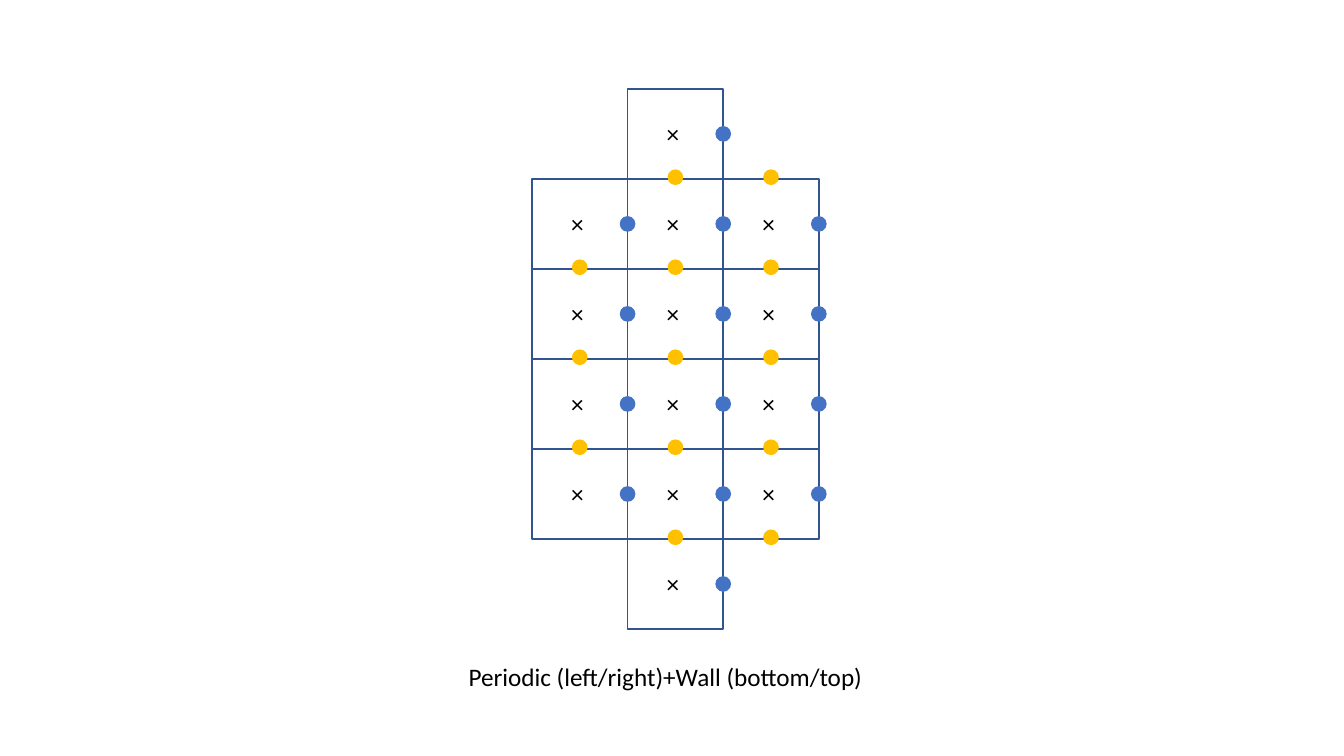
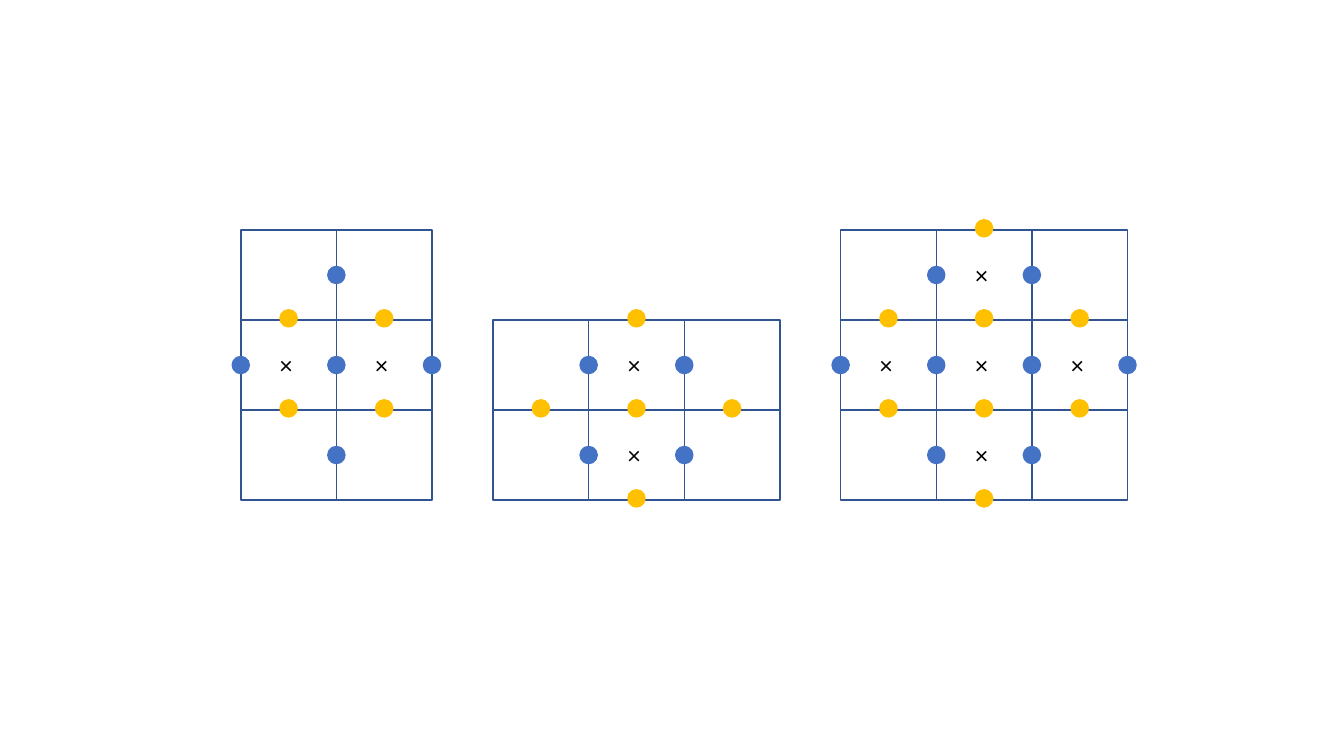
from dataclasses import dataclass
from itertools import product

from pptx import Presentation
from pptx.dml.color import RGBColor
from pptx.enum.shapes import MSO_SHAPE
from pptx.enum.text import MSO_AUTO_SIZE
from pptx.util import Pt

RECTANGLE = MSO_SHAPE.RECTANGLE
OVAL = MSO_SHAPE.OVAL
FIT_SHAPE = MSO_AUTO_SIZE.SHAPE_TO_FIT_TEXT
BLANK_LAYOUT = 6


@dataclass(frozen=True)
class Theme:
    font: str = "Calibri"
    text_size: float = 18
    text: RGBColor = RGBColor(0x00, 0x00, 0x00)
    cell_line: RGBColor = RGBColor(0x32, 0x54, 0x91)
    side_face: RGBColor = RGBColor(0x44, 0x72, 0xC4)
    level_face: RGBColor = RGBColor(0xFF, 0xC0, 0x00)
    cell_width: float = 68.3
    cell_height: float = 64.3
    cell_line_width: float = 1
    dot_size: float = 10.2
    level_face_lift: float = 1.2
    label_width: float = 26.6
    label_height: float = 29


THEME = Theme()


@dataclass(frozen=True)
class Stencil:
    """Cells and centres are (column, row).

    Side faces are (vertical edge, row); level faces are (column, horizontal edge).
    """
    cells: tuple
    centres: tuple
    side_faces: tuple
    level_faces: tuple


def grid(columns, rows):
    return tuple(product(columns, rows))


CHANNEL_CELLS = grid(range(3), range(1, 5)) + ((1, 0), (1, 5))
CHANNEL = Stencil(
    cells=CHANNEL_CELLS,
    centres=CHANNEL_CELLS,
    side_faces=grid((1, 2, 3), range(1, 5)) + ((2, 0), (2, 5)),
    level_faces=grid((0,), range(2, 5)) + grid((1, 2), range(1, 6)),
)
SIDE_STENCIL = Stencil(
    cells=grid(range(2), range(3)),
    centres=grid((0, 1), (1,)),
    side_faces=grid(range(3), (1,)) + grid((1,), (0, 2)),
    level_faces=grid((0, 1), (1, 2)),
)
LEVEL_STENCIL = Stencil(
    cells=grid(range(3), range(2)),
    centres=grid((1,), (0, 1)),
    side_faces=grid((1, 2), (0, 1)),
    level_faces=grid(range(3), (1,)) + grid((1,), (0, 2)),
)
CENTRE_STENCIL = Stencil(
    cells=grid(range(3), range(3)),
    centres=grid(range(3), (1,)) + grid((1,), (0, 2)),
    side_faces=grid(range(4), (1,)) + grid((1, 2), (0, 2)),
    level_faces=grid(range(3), (1, 2)) + grid((1,), (0, 3)),
)


def add_cell(slide, left, top):
    cell = slide.shapes.add_shape(
        RECTANGLE, Pt(left), Pt(top), Pt(THEME.cell_width), Pt(THEME.cell_height))
    cell.shadow.inherit = False
    cell.fill.background()
    cell.line.color.rgb = THEME.cell_line
    cell.line.width = Pt(THEME.cell_line_width)


def add_dot(slide, centre_x, centre_y, color, outline):
    size = THEME.dot_size
    dot = slide.shapes.add_shape(
        OVAL, Pt(centre_x - size / 2), Pt(centre_y - size / 2), Pt(size), Pt(size))
    dot.shadow.inherit = False
    dot.fill.solid()
    dot.fill.fore_color.rgb = color
    dot.line.color.rgb = color
    dot.line.width = Pt(outline)


def add_label(slide, text, centre_x, centre_y, width):
    height = THEME.label_height
    label = slide.shapes.add_textbox(
        Pt(centre_x - width / 2), Pt(centre_y - height / 2), Pt(width), Pt(height))
    frame = label.text_frame
    frame.word_wrap = False
    frame.auto_size = FIT_SHAPE
    paragraph = frame.paragraphs[0]
    paragraph.text = text
    paragraph.font.name = THEME.font
    paragraph.font.size = Pt(THEME.text_size)
    paragraph.font.color.rgb = THEME.text


def draw_stencil(slide, stencil, left, top, dot_outline):
    def position(column, row):
        return left + column * THEME.cell_width, top + row * THEME.cell_height

    for column, row in stencil.cells:
        add_cell(slide, *position(column, row))
    for column, row in stencil.centres:
        add_label(slide, "×", *position(column + 0.5, row + 0.5), THEME.label_width)
    for edge, row in stencil.side_faces:
        add_dot(slide, *position(edge, row + 0.5), THEME.side_face, dot_outline)
    for column, edge in stencil.level_faces:
        x, y = position(column + 0.5, edge)
        add_dot(slide, x, y - THEME.level_face_lift, THEME.level_face, dot_outline)


def build_channel_slide(slide):
    draw_stencil(slide, CHANNEL, left=380, top=63.5, dot_outline=1)
    add_label(slide, "Periodic (left/right)+Wall (bottom/top)", 477.4, 483.2, 299.5)


def build_stencils_slide(slide):
    """Stand the three stencils on one baseline."""
    baseline = 357.2
    for stencil, left in ((SIDE_STENCIL, 172), (LEVEL_STENCIL, 352.2),
                          (CENTRE_STENCIL, 600.5)):
        rows = 1 + max(row for _, row in stencil.cells)
        draw_stencil(slide, stencil, left, baseline - rows * THEME.cell_height,
                     dot_outline=3)


def main():
    presentation = Presentation()
    presentation.slide_width = Pt(960)
    presentation.slide_height = Pt(540)
    layout = presentation.slide_layouts[BLANK_LAYOUT]
    for build in (build_channel_slide, build_stencils_slide):
        build(presentation.slides.add_slide(layout))
    presentation.save("out.pptx")


if __name__ == "__main__":
    main()
